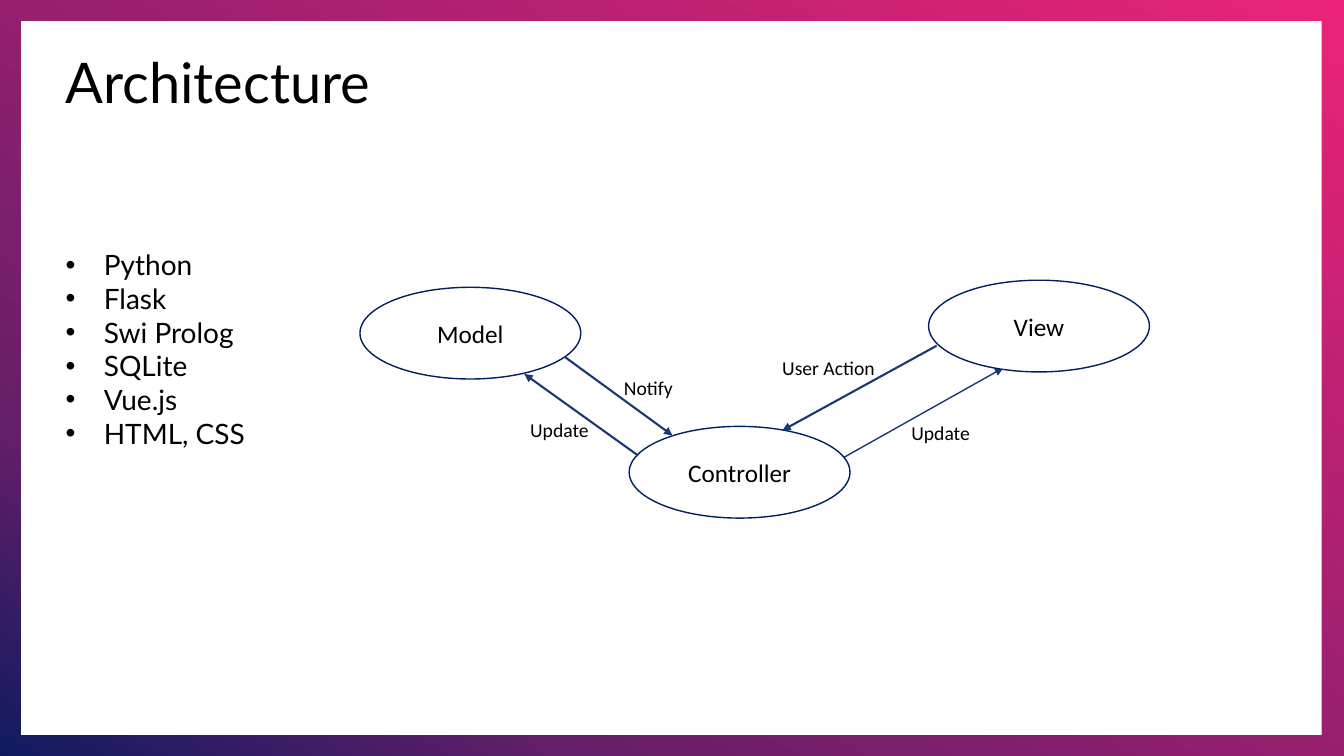
import copy

import pptx
import pptx.dml.color
import pptx.enum.dml
import pptx.enum.shapes
import pptx.enum.text
import pptx.oxml
import pptx.oxml.ns
import pptx.util

Inches = pptx.util.Inches
Pt = pptx.util.Pt
SHAPE = pptx.enum.shapes.MSO_SHAPE
ALIGN = pptx.enum.text.PP_ALIGN
ANCHOR = pptx.enum.text.MSO_ANCHOR
qn = pptx.oxml.ns.qn

COLORS = {
    name: pptx.dml.color.RGBColor.from_string(value)
    for name, value in {
        "paper": "FFFFFF", "text": "000000", "outline": "002060", "arrow": "1C3871",
        "navy": "0F1B5F", "purple": "651E69", "pink": "EB2378",
    }.items()
}


def write(para, text, size, font, align=ALIGN.LEFT):
    """Add one formatted run to a paragraph."""
    para.alignment = align
    span = para.add_run()
    span.text = text
    span.font.size = Pt(size)
    span.font.name = font
    span.font.color.rgb = COLORS["text"]


def draw_arrow(start, end, width):
    """Draw a straight arrow with a triangle head at its end."""
    arrow = page.shapes.add_connector(
        pptx.enum.shapes.MSO_CONNECTOR.STRAIGHT, *map(Inches, start + end))
    arrow.line.color.rgb = COLORS["arrow"]
    arrow.line.width = Pt(width)
    head = pptx.oxml.parse_xml(
        '<a:tailEnd xmlns:a="http://schemas.openxmlformats.org/drawingml/2006/main" type="triangle"/>')
    arrow.line._get_or_add_ln().append(head)
    arrow._element.spPr.append(pptx.oxml.xmlchemy.OxmlElement("a:effectLst"))


deck = pptx.Presentation()
deck.slide_width = Inches(13.33)
deck.slide_height = Inches(7.5)
page = deck.slides.add_slide(deck.slide_layouts[1])
title, tools = page.placeholders

# Gradient frame around a white sheet
frame = page.shapes.add_shape(SHAPE.RECTANGLE, 0, 0, deck.slide_width, deck.slide_height)
frame.fill.gradient()
frame.fill.gradient_angle = 60
stop_list = frame._element.spPr.find(".//" + qn("a:gsLst"))
stop_list.append(copy.deepcopy(stop_list[-1]))
stops = [(0, "navy"), (0.22, "purple"), (1, "pink")]
for stop, (position, color) in zip(frame.fill.gradient_stops, stops):
    stop.position = position
    stop.color.rgb = COLORS[color]
sheet = page.shapes.add_shape(
    SHAPE.RECTANGLE, Inches(0.21), Inches(0.21), Inches(12.9), Inches(7.08))
sheet.fill.solid()
sheet.fill.fore_color.rgb = COLORS["paper"]
for panel in (frame, sheet):
    panel.line.fill.background()
    panel.shadow.inherit = False

# Title and list, brought in front of the sheet
for holder, left, top, width, height in [
    (title, 0.55, 0.42, 3.3, 0.77),
    (tools, 0.55, 2.41, 1.99, 2.12),
]:
    page.shapes._spTree.append(holder._element)
    holder.left, holder.top = Inches(left), Inches(top)
    holder.width, holder.height = Inches(width), Inches(height)
    holder.text_frame.auto_size = pptx.enum.text.MSO_AUTO_SIZE.NONE
    holder.text_frame.vertical_anchor = ANCHOR.TOP
title.text_frame.word_wrap = False
write(title.text_frame.paragraphs[0], "Architecture", 40, "Lato")

for index, name in enumerate(["Python", "Flask", "Swi Prolog", "SQLite", "Vue.js", "HTML, CSS"]):
    para = tools.text_frame.paragraphs[0] if index == 0 else tools.text_frame.add_paragraph()
    para.space_before = Pt(0)
    write(para, name, 20, "Lato")
    properties = para._p.get_or_add_pPr()
    properties.set("marL", str(Inches(0.38)))
    properties.set("indent", str(-Inches(0.38)))
    bullet = pptx.oxml.xmlchemy.OxmlElement("a:buChar")
    bullet.set("char", "•")
    properties.append(bullet)

# The thin arrow runs behind the ellipses
draw_arrow((8.33, 4.56), (9.95, 3.65), 1)

for name, left, top in [("Controller", 6.24, 4.23), ("View", 9.21, 2.78), ("Model", 3.57, 2.85)]:
    part = page.shapes.add_shape(
        SHAPE.OVAL, Inches(left), Inches(top), Inches(2.19), Inches(0.91))
    part.shadow.inherit = False
    part.fill.solid()
    part.fill.fore_color.rgb = COLORS["paper"]
    part.line.color.rgb = COLORS["outline"]
    part.line.width = Pt(1)
    part.text_frame.vertical_anchor = ANCHOR.MIDDLE
    write(part.text_frame.paragraphs[0], name, 18, "Calibri", ALIGN.CENTER)

for start, end in [
    ((9.29, 3.43), (7.76, 4.27)),
    ((6.33, 4.52), (5.2, 3.71)),
    ((5.6, 3.54), (6.67, 4.32)),
]:
    draw_arrow(start, end, 1.5)

for label, left, top, width in [
    ("Update", 5.16, 4.1, 0.79),
    ("Notify", 6.09, 3.68, 0.69),
    ("User Action", 7.66, 3.48, 1.13),
    ("Update", 8.94, 4.13, 0.79),
]:
    box = page.shapes.add_textbox(Inches(left), Inches(top), Inches(width), Inches(0.34))
    box.text_frame.word_wrap = False
    write(box.text_frame.paragraphs[0], label, 14, "Calibri")

deck.save("out.pptx")
